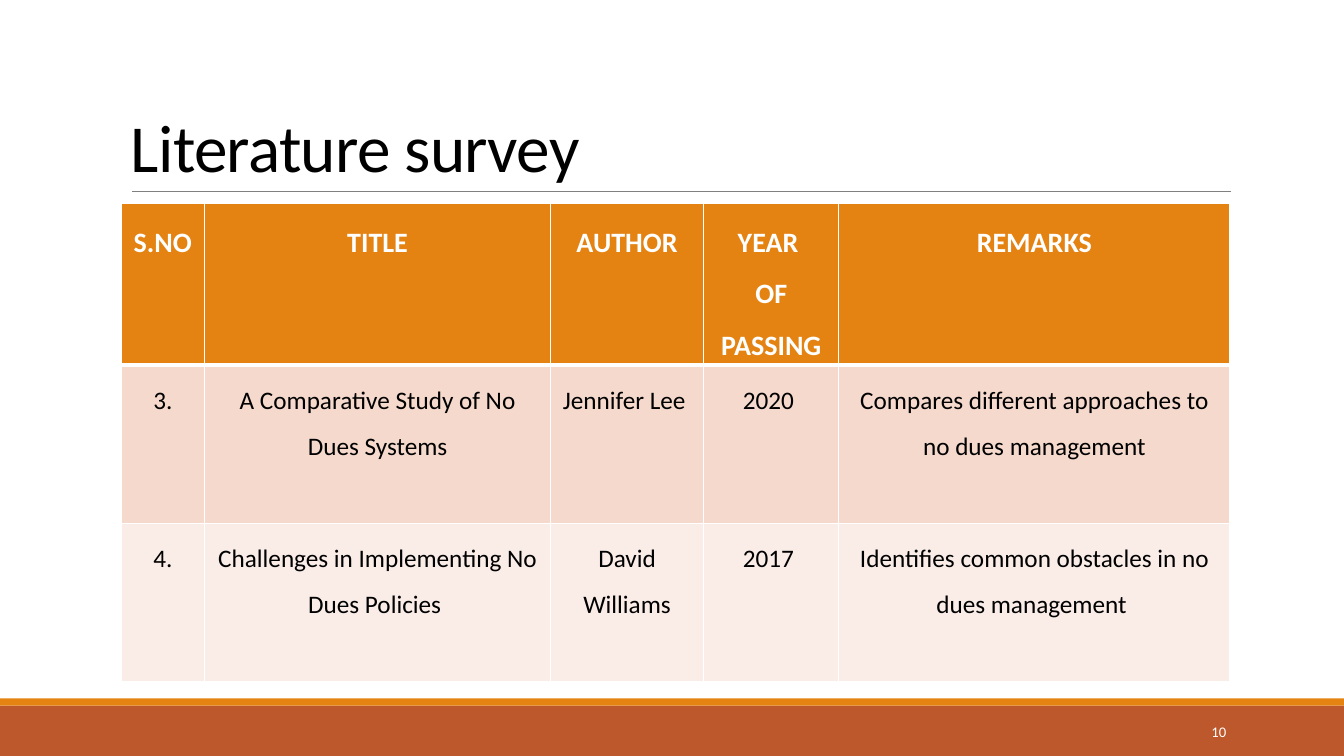
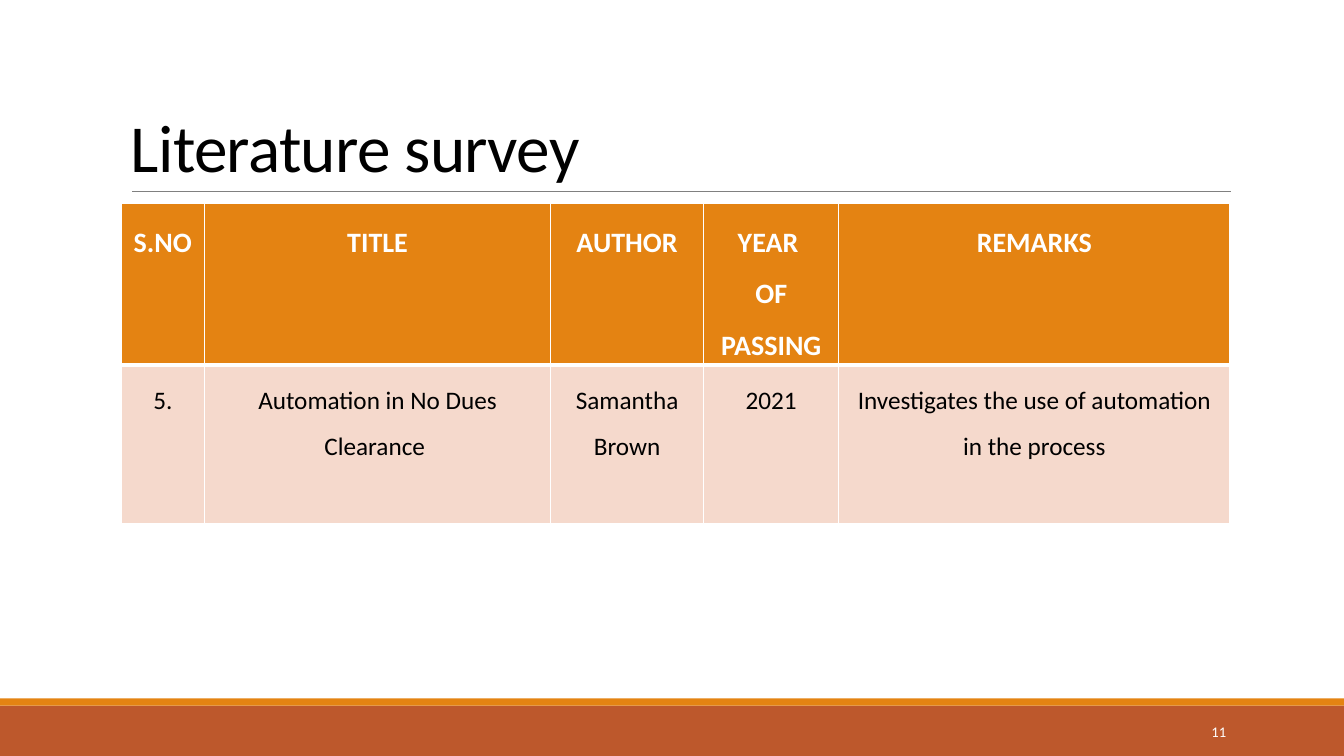
from lxml.etree import SubElement
from pptx import Presentation
from pptx.dml.color import RGBColor
from pptx.enum.shapes import MSO_CONNECTOR, MSO_SHAPE
from pptx.enum.text import MSO_ANCHOR, PP_ALIGN
from pptx.oxml.ns import qn
from pptx.util import Inches, Pt

WHITE = RGBColor(0xFF, 0xFF, 0xFF)
BLACK = RGBColor(0x00, 0x00, 0x00)
GRAY = RGBColor(0x80, 0x80, 0x80)
ORANGE = RGBColor(0xE4, 0x83, 0x12)
RUST = RGBColor(0xBD, 0x58, 0x2C)
ROW_TINTS = (RGBColor(0xF5, 0xD9, 0xCC), RGBColor(0xFA, 0xED, 0xE7))

FONT = "Calibri"
SLIDE_WIDTH, SLIDE_HEIGHT = 13.33, 7.5
LEFT, CONTENT_WIDTH = 1.2, 11
COLUMN_WIDTHS = (0.83, 3.43, 1.52, 1.34, 3.88)
ROW_HEIGHT = 1.57

TITLE_FONT = {"name": FONT, "size": Pt(48), "color": BLACK}
NUMBER_FONT = {"name": FONT, "size": Pt(10.5), "color": WHITE}
HEADER_FONT = {"name": FONT, "size": Pt(20), "bold": True, "color": WHITE}
BODY_FONT = {"name": FONT, "size": Pt(18), "bold": False, "color": BLACK}
TITLE_PARAGRAPH = {"alignment": PP_ALIGN.LEFT, "line_spacing": 0.85}
NUMBER_PARAGRAPH = {"alignment": PP_ALIGN.RIGHT}
CELL_PARAGRAPH = {"alignment": PP_ALIGN.CENTER, "line_spacing": 1.5}

HEADINGS = ("S.NO", "TITLE", "AUTHOR", "YEAR \nOF PASSING", "REMARKS")
SURVEY_PAGES = {
    10: (
        ("3.", "A Comparative Study of No Dues Systems", "Jennifer Lee ", "2020 ",
         "Compares different approaches to no dues management"),
        ("4.", "Challenges in Implementing No Dues Policies ", "David Williams", "2017 ",
         "Identifies common obstacles in no dues management "),
    ),
    11: (
        ("5.", "Automation in No Dues Clearance ", "Samantha Brown", "2021",
         "Investigates the use of automation in the process"),
    ),
}


class SurveyDeck:
    def __init__(self):
        self.presentation = Presentation()
        self.presentation.slide_width = Inches(SLIDE_WIDTH)
        self.presentation.slide_height = Inches(SLIDE_HEIGHT)
        self.slide = None

    def add_slide(self, title, number):
        self.slide = self.presentation.slides.add_slide(self.presentation.slide_layouts[6])
        self.add_band(7, 0.5, RUST)
        self.add_band(6.93, 0.07, ORANGE)
        self.add_rule(1.31, 12.21, 1.9)
        title_frame = self.add_text(title, (LEFT, 0.31, CONTENT_WIDTH, 1.59),
                                    MSO_ANCHOR.BOTTOM, TITLE_PARAGRAPH, TITLE_FONT)
        title_run = title_frame.paragraphs[0].runs[0]
        title_run._r.get_or_add_rPr().set("spc", "-50")
        self.add_text(str(number), (10.83, 7.06, 1.43, 0.4),
                      MSO_ANCHOR.MIDDLE, NUMBER_PARAGRAPH, NUMBER_FONT)

    def add_band(self, top, height, color):
        band = self.slide.shapes.add_shape(
            MSO_SHAPE.RECTANGLE, 0, Inches(top), Inches(SLIDE_WIDTH), Inches(height))
        band.shadow.inherit = False
        band.fill.solid()
        band.fill.fore_color.rgb = color
        band.line.fill.background()

    def add_rule(self, start, end, top):
        rule = self.slide.shapes.add_connector(
            MSO_CONNECTOR.STRAIGHT, Inches(start), Inches(top), Inches(end), Inches(top))
        rule.line.color.rgb = GRAY
        rule.line.width = Pt(0.5)
        SubElement(rule._element.spPr, qn("a:effectLst"))

    def add_text(self, text, box, anchor, paragraph_format, font_format):
        shape = self.slide.shapes.add_textbox(*map(Inches, box))
        frame = shape.text_frame
        frame.word_wrap = True
        frame.vertical_anchor = anchor
        self.fill_text(frame, text, paragraph_format, font_format)
        return frame

    def fill_text(self, frame, text, paragraph_format, font_format):
        frame.text = text
        for paragraph in frame.paragraphs:
            for name, value in paragraph_format.items():
                setattr(paragraph, name, value)
            for run in paragraph.runs:
                for name, value in font_format.items():
                    if name == "color":
                        run.font.color.rgb = value
                    else:
                        setattr(run.font, name, value)

    def add_table(self, top, headings, records):
        rows = (headings, *records)
        table = self.slide.shapes.add_table(
            len(rows), len(headings), Inches(LEFT), Inches(top),
            Inches(CONTENT_WIDTH), Inches(ROW_HEIGHT * len(rows))).table
        for column, width in zip(table.columns, COLUMN_WIDTHS):
            column.width = Inches(width)
        for row_index, texts in enumerate(rows):
            table.rows[row_index].height = Inches(ROW_HEIGHT)
            is_header = row_index == 0
            fill = ORANGE if is_header else ROW_TINTS[(row_index - 1) % 2]
            font_format = HEADER_FONT if is_header else BODY_FONT
            borders = {"L": 1, "R": 1, "T": 3 if row_index == 1 else 1,
                       "B": 3 if is_header else 1}
            for column_index, text in enumerate(texts):
                cell = table.cell(row_index, column_index)
                self.fill_text(cell.text_frame, text, CELL_PARAGRAPH, font_format)
                self.add_borders(cell, borders)
                cell.fill.solid()
                cell.fill.fore_color.rgb = fill

    def add_borders(self, cell, borders):
        properties = cell._tc.get_or_add_tcPr()
        for side, width in borders.items():
            border = SubElement(properties, qn(f"a:ln{side}"), w=str(Pt(width)))
            fill = SubElement(border, qn("a:solidFill"))
            SubElement(fill, qn("a:srgbClr"), val=str(WHITE))


def main():
    deck = SurveyDeck()
    for number, records in SURVEY_PAGES.items():
        deck.add_slide("Literature survey", number)
        deck.add_table(2.02, HEADINGS, records)
    deck.presentation.save("out.pptx")


if __name__ == "__main__":
    main()
